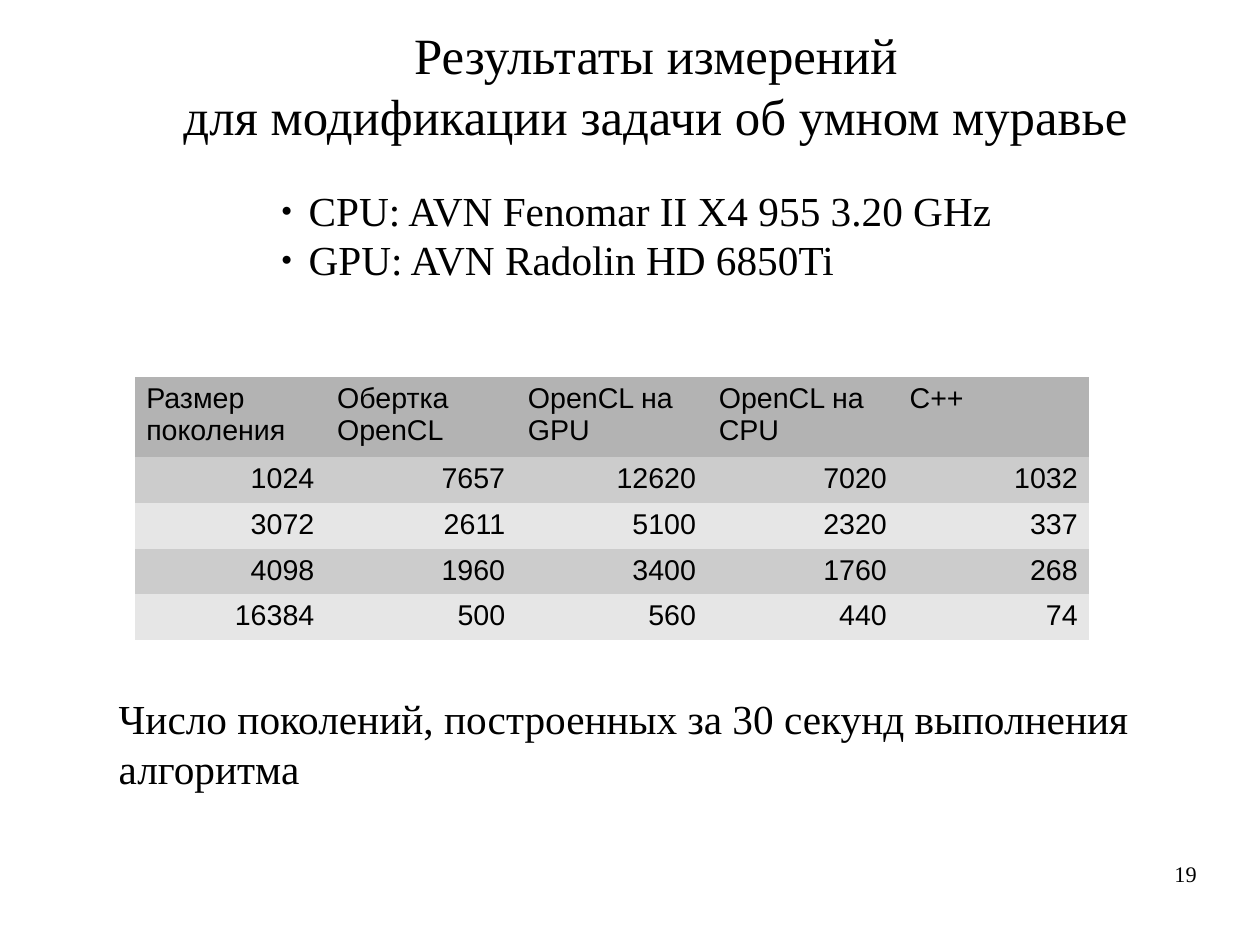
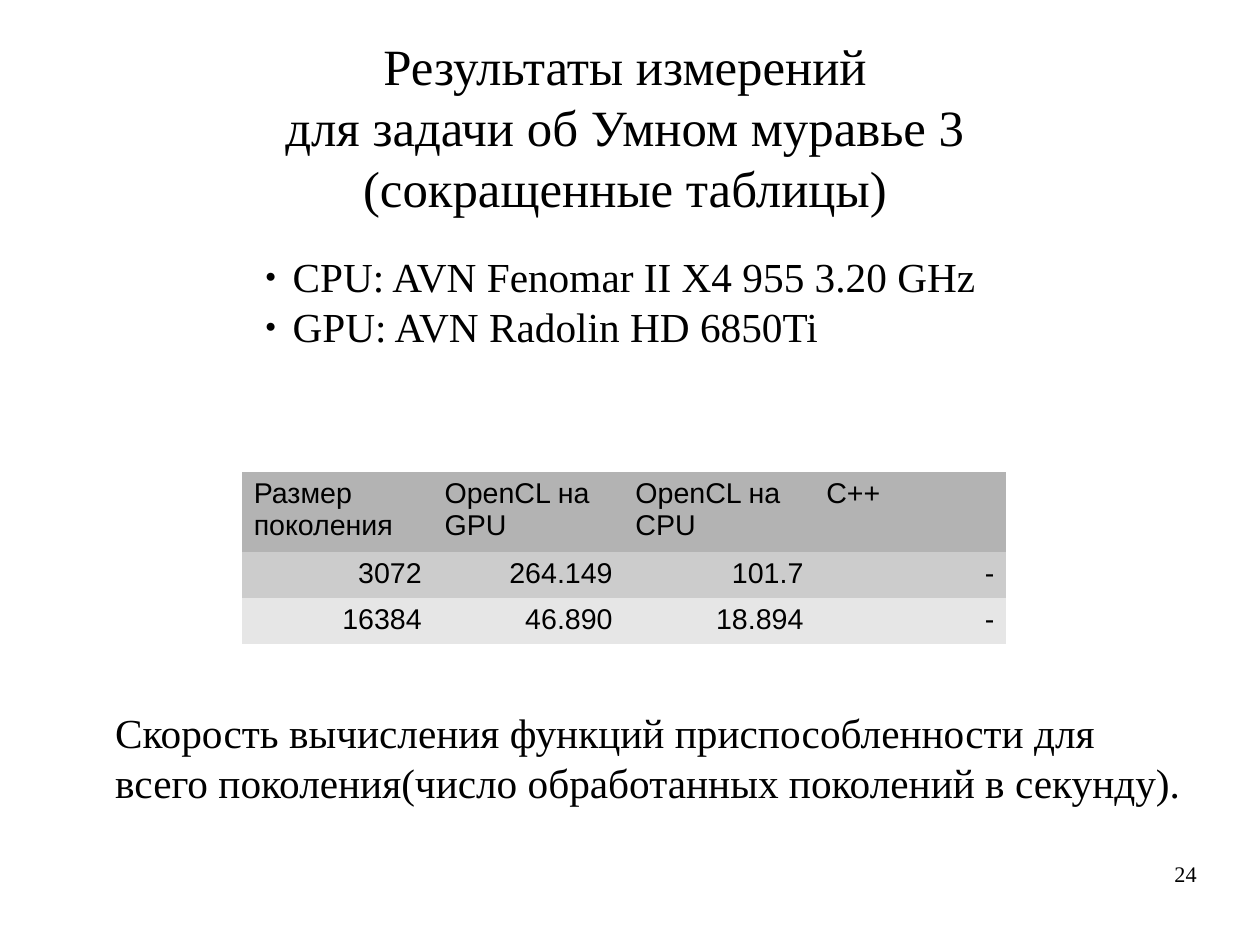
from dataclasses import dataclass

from lxml import etree
from pptx import Presentation
from pptx.dml.color import RGBColor
from pptx.enum.text import MSO_ANCHOR, MSO_AUTO_SIZE, PP_ALIGN
from pptx.oxml.ns import qn
from pptx.util import Inches, Pt

LEFT, CENTER, RIGHT = PP_ALIGN.LEFT, PP_ALIGN.CENTER, PP_ALIGN.RIGHT
TOP = MSO_ANCHOR.TOP
NO_AUTOFIT = MSO_AUTO_SIZE.NONE
PLAIN_TABLE_STYLE = "{2D5ABB26-0587-4C30-8999-92F81FD0307C}"
CM_PER_INCH = 2.54


@dataclass(frozen=True)
class Theme:
    """Colours, fonts and type sizes shared by the slides."""

    ink: str = "000000"
    paper: str = "FFFFFF"
    header: str = "B3B3B3"
    bands: tuple = ("CCCCCC", "E6E6E6")
    serif: str = "Times New Roman"
    sans: str = "Arial"
    title_size: int = 32
    body_size: int = 26
    table_size: int = 18
    number_size: int = 14


THEME = Theme()
HARDWARE = ("CPU: AVN Fenomar II X4 955 3.20 GHz", "GPU: AVN Radolin HD 6850Ti")


def place(shape, left, top, width, height):
    """Set the position and size of a shape in inches."""
    shape.left, shape.top = Inches(left), Inches(top)
    shape.width, shape.height = Inches(width), Inches(height)


def write_lines(frame, lines, size, align=LEFT, font=THEME.serif):
    """Write each line as a paragraph and return the paragraphs."""
    for index, line in enumerate(lines):
        paragraph = frame.paragraphs[0] if index == 0 else frame.add_paragraph()
        paragraph.alignment = align
        paragraph.space_before = Pt(0)
        run = paragraph.add_run()
        run.text = line
        run.font.name = font
        run.font.size = Pt(size)
        run.font.color.rgb = RGBColor.from_string(THEME.ink)
    return frame.paragraphs


def prepare_frame(shape, inset_x=0.1, inset_y=0.05):
    """Give a text frame fixed insets, wrapping and a top anchor."""
    frame = shape.text_frame
    frame.word_wrap = True
    frame.auto_size = NO_AUTOFIT
    frame.vertical_anchor = TOP
    frame.margin_left = frame.margin_right = Inches(inset_x)
    frame.margin_top = frame.margin_bottom = Inches(inset_y)
    return frame


def add_bullet(paragraph):
    """Give a paragraph a small round bullet with a hanging indent."""
    properties = paragraph._p.get_or_add_pPr()
    properties.set("marL", str(Inches(0.24)))
    properties.set("indent", str(-Inches(0.24)))
    colour = etree.SubElement(properties, qn("a:buClr"))
    etree.SubElement(colour, qn("a:srgbClr"), val=THEME.ink)
    etree.SubElement(properties, qn("a:buSzPct"), val="45000")
    etree.SubElement(properties, qn("a:buFont"), typeface=THEME.sans)
    etree.SubElement(properties, qn("a:buChar"), char="●")


def fill_title(slide, lines, left, top):
    """Place the centred title."""
    title = slide.shapes.title
    place(title, left, top, 8.7, 0.1 + 0.5 * len(lines))
    write_lines(prepare_frame(title), lines, THEME.title_size, CENTER)


def fill_hardware(slide, left, top):
    """Place the bulleted list of test hardware."""
    body = slide.placeholders[1]
    place(body, left, top, 6.8, 1.32)
    for paragraph in write_lines(prepare_frame(body), HARDWARE, THEME.body_size):
        add_bullet(paragraph)


def add_results(slide, rows, left, top):
    """Add the results table with a header row and banded rows."""
    column_width, header_height, row_height = 1.67, 0.7, 0.4
    columns = len(rows[0])
    height = header_height + row_height * (len(rows) - 1)
    holder = slide.shapes.add_table(
        len(rows), columns, Inches(left), Inches(top),
        Inches(column_width * columns), Inches(height))
    holder.element.find(".//" + qn("a:tableStyleId")).text = PLAIN_TABLE_STYLE
    table = holder.table
    table.horz_banding = False
    for column in table.columns:
        column.width = Inches(column_width)
    for index, values in enumerate(rows):
        is_header = index == 0
        table.rows[index].height = Inches(header_height if is_header else row_height)
        shade = THEME.header if is_header else THEME.bands[(index - 1) % 2]
        for cell, value in zip(table.rows[index].cells, values):
            cell.fill.solid()
            cell.fill.fore_color.rgb = RGBColor.from_string(shade)
            write_lines(cell.text_frame, [value], THEME.table_size,
                        LEFT if is_header else RIGHT, THEME.sans)


def add_caption(slide, lines, left, top):
    """Add the explanation under the table."""
    caption = slide.shapes.add_textbox(
        Inches(left), Inches(top), Inches(9.8), Inches(0.91))
    write_lines(prepare_frame(caption), lines, THEME.body_size)


def add_page_number(slide, number):
    """Add the page number at the lower right."""
    page = slide.shapes.add_textbox(
        Inches(7.9), Inches(7.53), Inches(2.57), Inches(0.57))
    write_lines(prepare_frame(page, 0, 0), [number], THEME.number_size, RIGHT)


def add_slide(deck):
    """Add a title and content slide on plain paper."""
    slide = deck.slides.add_slide(deck.slide_layouts[1])
    slide.background.fill.solid()
    slide.background.fill.fore_color.rgb = RGBColor.from_string(THEME.paper)
    return slide


def build_generations_slide(deck):
    """Build the slide on generations made in 30 seconds."""
    slide = add_slide(deck)
    fill_title(slide, ["Результаты измерений",
                       "для модификации задачи об умном муравье"], 1.39, 0.16)
    fill_hardware(slide, 2.36, 1.57)
    add_results(slide, [
        ("Размер поколения", "Обертка OpenCL", "OpenCL на GPU", "OpenCL на СPU", "C++"),
        ("1024", "7657", "12620", "7020", "1032"),
        ("3072", "2611", "5100", "2320", "337"),
        ("4098", "1960", "3400", "1760", "268"),
        ("16384", "500", "560", "440", "74"),
    ], 1.18, 3.3)
    add_caption(slide, ["Число поколений, построенных за 30 секунд выполнения",
                        "алгоритма"], 0.94, 6.02)
    add_page_number(slide, "19")


def build_speed_slide(deck):
    """Build the slide on fitness evaluation speed."""
    slide = add_slide(deck)
    fill_title(slide, ["Результаты измерений", "для задачи об Умном муравье 3",
                       "(сокращенные таблицы)"], 1.12, 0.25)
    fill_hardware(slide, 2.22, 2.15)
    add_results(slide, [
        ("Размер поколения", "OpenCL на GPU", "OpenCL на СPU", "C++"),
        ("3072", "264.149", "101.7", "-"),
        ("16384", "46.890", "18.894", "-"),
    ], 2.12, 4.13)
    add_caption(slide, ["Скорость вычисления функций приспособленности для",
                        "всего поколения(число обработанных поколений в секунду)."],
                0.91, 6.14)
    add_page_number(slide, "24")


def main():
    """Build and save the presentation."""
    deck = Presentation()
    deck.slide_width = Inches(28 / CM_PER_INCH)
    deck.slide_height = Inches(21 / CM_PER_INCH)
    build_generations_slide(deck)
    build_speed_slide(deck)
    deck.save("out.pptx")


if __name__ == "__main__":
    main()
